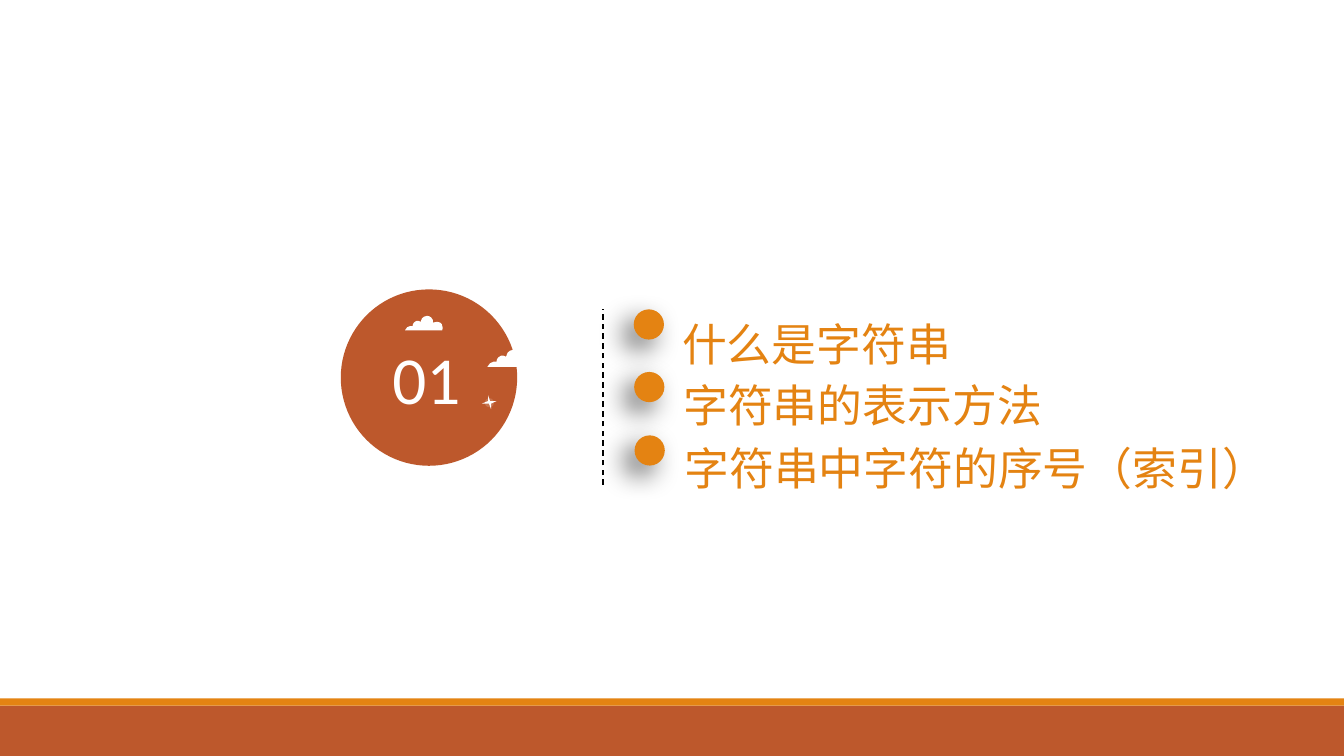
from lxml import etree
from pptx import Presentation
from pptx.dml.color import RGBColor
from pptx.enum.dml import MSO_LINE
from pptx.enum.shapes import MSO_CONNECTOR, MSO_SHAPE
from pptx.enum.text import MSO_AUTO_SIZE, PP_ALIGN
from pptx.oxml.ns import qn
from pptx.util import Pt

RECT, OVAL = MSO_SHAPE.RECTANGLE, MSO_SHAPE.OVAL
LINE, DASH = MSO_CONNECTOR.STRAIGHT, MSO_LINE.DASH
LEFT, MID = PP_ALIGN.LEFT, PP_ALIGN.CENTER
FIT = MSO_AUTO_SIZE.SHAPE_TO_FIT_TEXT

RUST, GOLD, WHITE, BLACK = "BD582C", "E48312", "FFFFFF", "000000"

# Outlines in hundredths of an inch
CLOUD = [(44, 17), (44.5, 14), (43.5, 10), (41.5, 8), (38, 7), (33, 8),
         (33, 5), (31, 2), (28.5, .5), (26, 0), (22.5, 1), (20, 3),
         (18.5, 7), (16, 6), (13.5, 6), (11, 7.5), (9.5, 9.5), (9, 12),
         (6, 12), (2.5, 13.5), (0, 17)]
STAR = [(9, 14), (9, 8.5), (14.5, 6), (8, 6), (6, 0), (6, 6), (0, 8.5),
        (7, 8.5)]


def color(code):
    return RGBColor.from_string(code)


class Deck:
    """Holds the style and the current slide."""
    font, size, space = "Arial", 32, 1.2

    def __init__(self, wide, high):
        self.prs = Presentation()
        self.prs.slide_width, self.prs.slide_height = Pt(wide), Pt(high)
        self.slide = self.prs.slides.add_slide(self.prs.slide_layouts[6])
        self.slide.background.fill.solid()
        self.slide.background.fill.fore_color.rgb = color(WHITE)
        self.shapes = self.slide.shapes

    def paint(self, shape, fill, alpha=None):
        shape.shadow.inherit = False
        shape.fill.solid()
        shape.fill.fore_color.rgb = color(fill)
        shape.line.fill.background()
        if alpha:
            tint = shape.fill._xPr.find(".//" + qn("a:srgbClr"))
            etree.SubElement(tint, qn("a:alpha"), val=str(alpha * 1000))
        return shape

    def shape(self, kind, x, y, w, h, fill, alpha=None):
        item = self.shapes.add_shape(kind, Pt(x), Pt(y), Pt(w), Pt(h))
        return self.paint(item, fill, alpha)

    def free(self, points, x, y, zoom=1):
        spots = [(Pt(px * .72 * zoom), Pt(py * .72 * zoom))
                 for px, py in points]
        form = self.shapes.build_freeform(*spots[0])
        form.add_line_segments(spots[1:], close=True)
        return self.paint(form.convert_to_shape(Pt(x), Pt(y)), WHITE)

    def line(self, x, top, end):
        rule = self.shapes.add_connector(LINE, Pt(x), Pt(end), Pt(x), Pt(top))
        rule.line.color.rgb = color(BLACK)
        rule.line.width = Pt(1)
        rule.line.dash_style = DASH
        etree.SubElement(rule._element.spPr, qn("a:effectLst"))

    def dot(self, x, y, size):
        disc = self.shape(OVAL, x, y, size, size, GOLD)
        glow = disc._element.spPr.find(qn("a:effectLst"))
        shade = etree.SubElement(
            glow, qn("a:outerShdw"), blurRad=str(Pt(20)), dist=str(Pt(10)),
            dir=str(135 * 60000), algn="tr", rotWithShape="0")
        tint = etree.SubElement(shade, qn("a:srgbClr"), val=BLACK)
        etree.SubElement(tint, qn("a:alpha"), val="60000")

    def text(self, words, x, y, w, h, *, size=None, font=None, fill=GOLD,
             align=LEFT, space=None, wrap=False, inset=None):
        frame = self.shapes.add_textbox(Pt(x), Pt(y), Pt(w), Pt(h)).text_frame
        frame.word_wrap, frame.auto_size = wrap, FIT
        if inset is not None:
            frame.margin_left = frame.margin_right = Pt(inset)
            frame.margin_top = frame.margin_bottom = Pt(inset)
        para = frame.paragraphs[0]
        para.alignment, para.line_spacing = align, space or self.space
        run = para.add_run()
        run.text = words
        run.font.size = Pt(size or self.size)
        run.font.name = font or self.font
        run.font.color.rgb = color(fill)
        etree.SubElement(run.font._element, qn("a:ea"),
                         typeface=font or self.font)


def main():
    deck = Deck(960, 540)

    # Footer bands
    deck.shape(RECT, 0, 504, 960, 36, RUST)
    deck.shape(RECT, 0, 498.8, 960, 5.2, GOLD)

    # Number badge with clouds and a star
    deck.shape(OVAL, 243.4, 206.7, 126, 126, RUST)
    deck.text("01", 265, 241.2, 79.2, 58.3, size=48, font="Calibri",
              fill=WHITE, align=MID, space=1, wrap=True, inset=0)
    deck.free(CLOUD, 348.2, 249.8)
    deck.free(CLOUD, 289.3, 225.6, zoom=.84)
    deck.free(STAR, 344.3, 282.2)
    deck.shape(OVAL, 346.3, 284.4, 6.5, 6.5, WHITE, alpha=17)

    # Topics beside the dashed rule
    deck.line(430.6, 221, 346.3)
    topics = [("什么是字符串", 215.3, 208, 221),
              ("字符串的表示方法", 258.5, 273, 265.7),
              ("字符串中字符的序号（索引）", 303.6, 435, 311)]
    for step, (words, top, wide, spot) in enumerate(topics):
        deck.text(words, 480.2 + .8 * step, top, wide, 54)
        deck.dot(452.7 + .3 * step, spot, 21.6)

    deck.prs.save("out.pptx")


if __name__ == "__main__":
    main()
